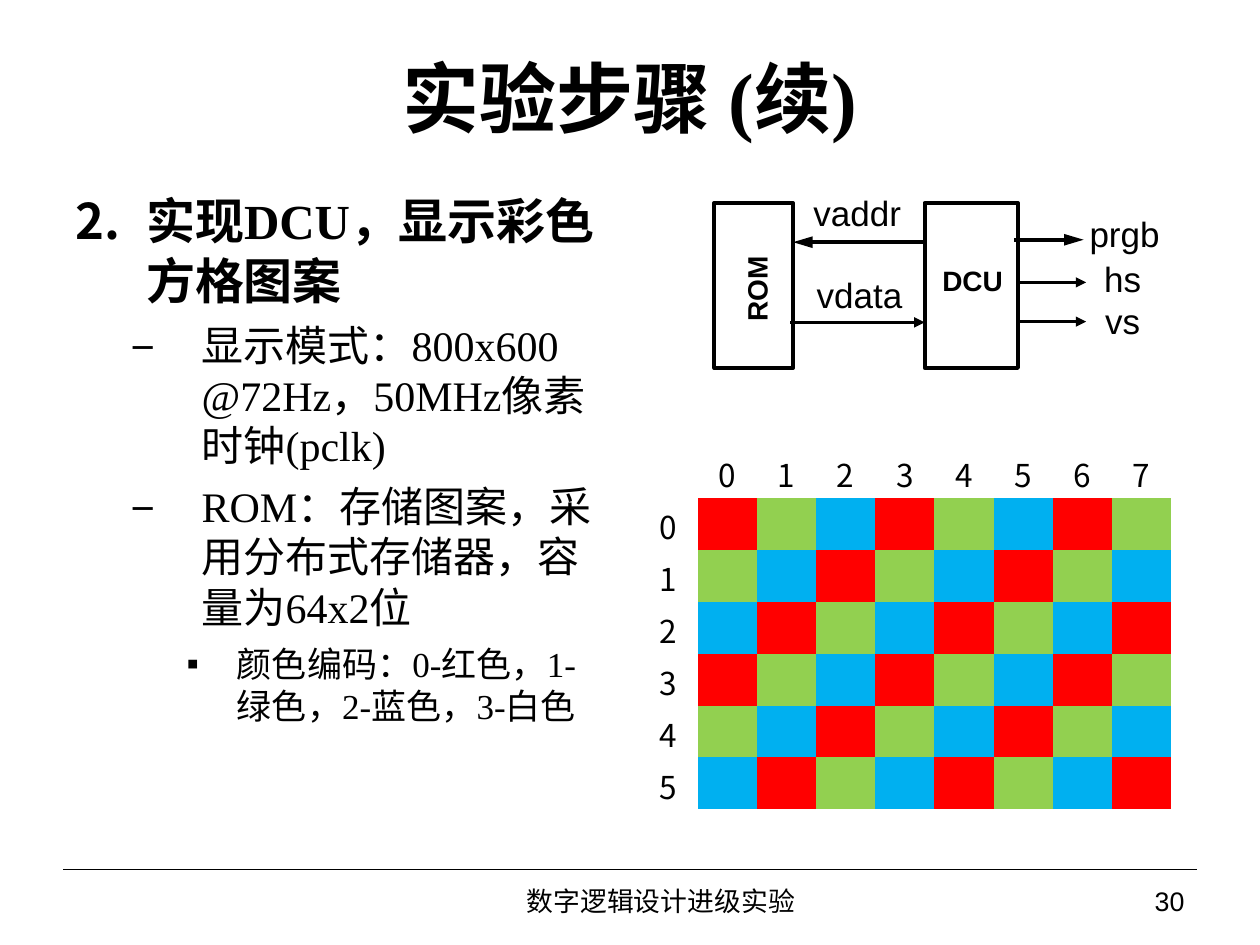
from lxml.etree import SubElement
from pptx import Presentation
from pptx.dml.color import RGBColor
from pptx.enum.shapes import MSO_CONNECTOR, MSO_SHAPE
from pptx.enum.text import MSO_ANCHOR as Anchor, MSO_AUTO_SIZE as AutoSize, PP_ALIGN as Align
from pptx.oxml.ns import qn
from pptx.util import Pt

COLORS = {"ink": "000000", "red": "FF0000", "green": "92D050", "blue": "00B0F0"}
SERIF, SANS, CJK = "Times New Roman", "Arial", "Noto Sans CJK SC"
NO_GRID_STYLE = "{2D5ABB26-0587-4C30-8999-92F81FD0307C}"


def rgb(name):
    return RGBColor.from_string(COLORS[name])


def style(paragraph, size, face, bold=False, align=Align.LEFT):
    paragraph.alignment = align
    font = paragraph.font
    font.size, font.name, font.bold = Pt(size), face, bold
    font.color.rgb = rgb("ink")
    SubElement(font._element, qn("a:ea"), typeface=CJK)


def place(shape, box):
    shape.left, shape.top, shape.width, shape.height = map(Pt, box)


def set_margins(frame, across, down):
    frame.margin_left = frame.margin_right = Pt(across)
    frame.margin_top = frame.margin_bottom = Pt(down)


def add_label(slide, box, text, size, bold=False, align=Align.LEFT, wrap=False, inset=(0, 0)):
    label = slide.shapes.add_textbox(*map(Pt, box))
    frame = label.text_frame
    frame.word_wrap = wrap
    frame.vertical_anchor = Anchor.MIDDLE
    set_margins(frame, *inset)
    frame.text = text
    style(frame.paragraphs[0], size, SANS, bold, align)
    return label


def add_line(slide, start, end, weight, head_length=None):
    line = slide.shapes.add_connector(MSO_CONNECTOR.STRAIGHT, *map(Pt, (*start, *end)))
    line.line.color.rgb = rgb("ink")
    line.line.width = Pt(weight)
    if head_length:
        SubElement(line.line._get_or_add_ln(), qn("a:tailEnd"),
                   type="triangle", w="med", len=head_length)
    SubElement(line._element.spPr, qn("a:effectLst"))


def fill_title(slide, box):
    title = slide.shapes.title
    place(title, box)
    frame = title.text_frame
    frame.auto_size = AutoSize.NONE
    frame.vertical_anchor = Anchor.MIDDLE
    frame.text = "实验步骤 (续)"
    style(frame.paragraphs[0], 44, SERIF, True, Align.CENTER)


def fill_steps(slide, box):
    levels = [
        {"size": 28, "pitch": 34.3, "left": 40.3, "hang": 40.3, "bold": True,
         "bullet": None, "face": CJK},
        {"size": 24, "pitch": 28.7, "left": 72, "hang": 40.3, "bold": False,
         "bullet": "−", "face": CJK},
        {"size": 20, "pitch": 24, "left": 92.2, "hang": 28.8, "bold": False,
         "bullet": "▪", "face": SANS},
    ]
    steps = [
        (0, "实现DCU，显示彩色方格图案"),
        (1, "显示模式：800x600 @72Hz，50MHz像素时钟(pclk)"),
        (1, "ROM：存储图案，采用分布式存储器，容量为64x2位"),
        (2, "颜色编码：0-红色，1-绿色，2-蓝色，3-白色"),
    ]
    body = slide.placeholders[1]
    place(body, box)
    frame = body.text_frame
    frame.auto_size = AutoSize.NONE
    frame.text = "\n".join(text for _, text in steps)
    for paragraph, (depth, _) in zip(frame.paragraphs, steps):
        level = levels[depth]
        paragraph.level = depth
        paragraph.space_before, paragraph.space_after = Pt(0), Pt(6)
        paragraph.line_spacing = Pt(level["pitch"])
        props = paragraph._p.get_or_add_pPr()
        props.set("marL", str(Pt(level["left"])))
        props.set("indent", str(-Pt(level["hang"])))
        SubElement(props, qn("a:buFont"), typeface=level["face"])
        if level["bullet"]:
            SubElement(props, qn("a:buChar"), char=level["bullet"])
        else:
            SubElement(props, qn("a:buAutoNum"), type="arabicPeriod", startAt="2")
        style(paragraph, level["size"], SERIF, level["bold"])


def draw_circuit(slide, box):
    left, top, width, height = box
    rom_right, dcu_left, dcu_right = left + 45, left + 120.2, left + width
    for block_left, block_right in ((left, rom_right), (dcu_left, dcu_right)):
        block = slide.shapes.add_shape(
            MSO_SHAPE.RECTANGLE,
            *map(Pt, (block_left, top, block_right - block_left, height)))
        block.shadow.inherit = False
        block.fill.background()
        block.line.color.rgb = rgb("ink")
        block.line.width = Pt(2.25)

    wires = [
        (dcu_left, rom_right, 22.4, 2.25, "lg"),
        (rom_right - 1.5, dcu_left, 68.2, 1.5, "med"),
        (dcu_right - 2, left + 211, 21, 2.25, "lg"),
        (dcu_right, left + 212.5, 45.4, 1.5, "med"),
        (dcu_right, left + 212.5, 67.8, 1.5, "med"),
    ]
    for start, end, drop, weight, head in wires:
        add_line(slide, (start, top + drop), (end, top + drop), weight, head)

    signals = [
        ("vaddr", 56.5, -6.5, 50.4), ("vdata", 58.5, 40.3, 49),
        ("prgb", 214.3, 5.4, 40.3), ("hs", 219, 31, 28.8), ("vs", 219, 55.4, 28.8),
    ]
    for name, across, drop, span in signals:
        add_label(slide, (left + across, top + drop, span, 24), name, 20, align=Align.CENTER)

    rom = add_label(slide, (left - 7, top + 36, 62, 26), "ROM", 16, True, Align.CENTER, wrap=True)
    rom.rotation = 270
    add_label(slide, (left + 123, top + 31, 49, 26.6), "DCU", 16, True, Align.CENTER)


def draw_pattern(slide, box):
    rows, columns = 7, 9
    cycle = ("red", "green", "blue")
    table = slide.shapes.add_table(rows, columns, *map(Pt, box)).table
    table.first_row = table.horz_banding = False
    table._tbl.tblPr.find(qn("a:tableStyleId")).text = NO_GRID_STYLE
    for column in table.columns:
        column.width = Pt(box[2] / columns)
    for row in table.rows:
        row.height = Pt(box[3] / rows)
    for y in range(rows):
        for x in range(columns):
            cell = table.cell(y, x)
            cell.vertical_anchor = Anchor.MIDDLE
            cell.margin_left = cell.margin_right = Pt(0.7)
            cell.margin_top, cell.margin_bottom = Pt(2.5), Pt(0)
            if x and y:
                cell.fill.solid()
                cell.fill.fore_color.rgb = rgb(cycle[(x + y - 2) % len(cycle)])
                continue
            cell.fill.background()
            if x or y:
                cell.text = str(x + y - 1)
                style(cell.text_frame.paragraphs[0], 18, CJK, align=Align.CENTER)


def draw_footer(slide, box):
    left, top, width, height = box
    add_line(slide, (left, top), (left + width, top), 0.75)
    notes = [
        ("数字逻辑设计进级实验", 167.8, 347.8, Align.CENTER),
        ("30", 522, 126, Align.RIGHT),
    ]
    for text, across, span, align in notes:
        note = add_label(slide, (left + across, top + 5.8, span, height - 5.8), text, 15.3,
                         align=align, wrap=True, inset=(7.2, 3.6))
        note.text_frame.paragraphs[0].line_spacing = 0.9


def main():
    deck = Presentation()
    deck.slide_width, deck.slide_height = Pt(720), Pt(540)
    slide = deck.slides.add_slide(deck.slide_layouts[1])
    fill_title(slide, (36, 21.6, 648, 67))
    fill_steps(slide, (36, 104.5, 319, 388))
    draw_circuit(slide, (408.2, 116, 173.5, 94.3))
    draw_pattern(slide, (365, 254.6, 304.2, 208))
    draw_footer(slide, (36, 496.8, 648, 32.4))
    deck.save("out.pptx")


if __name__ == "__main__":
    main()
